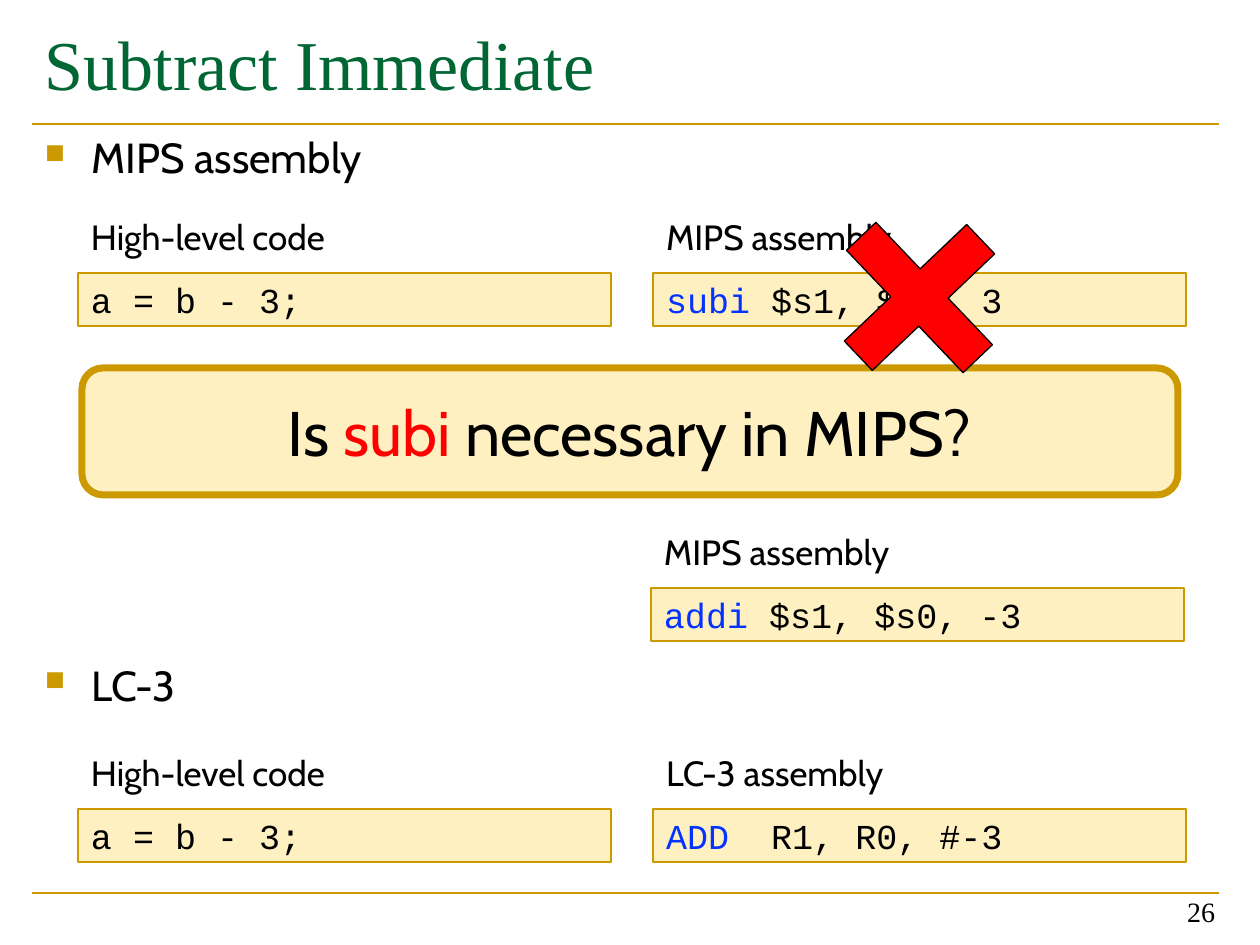
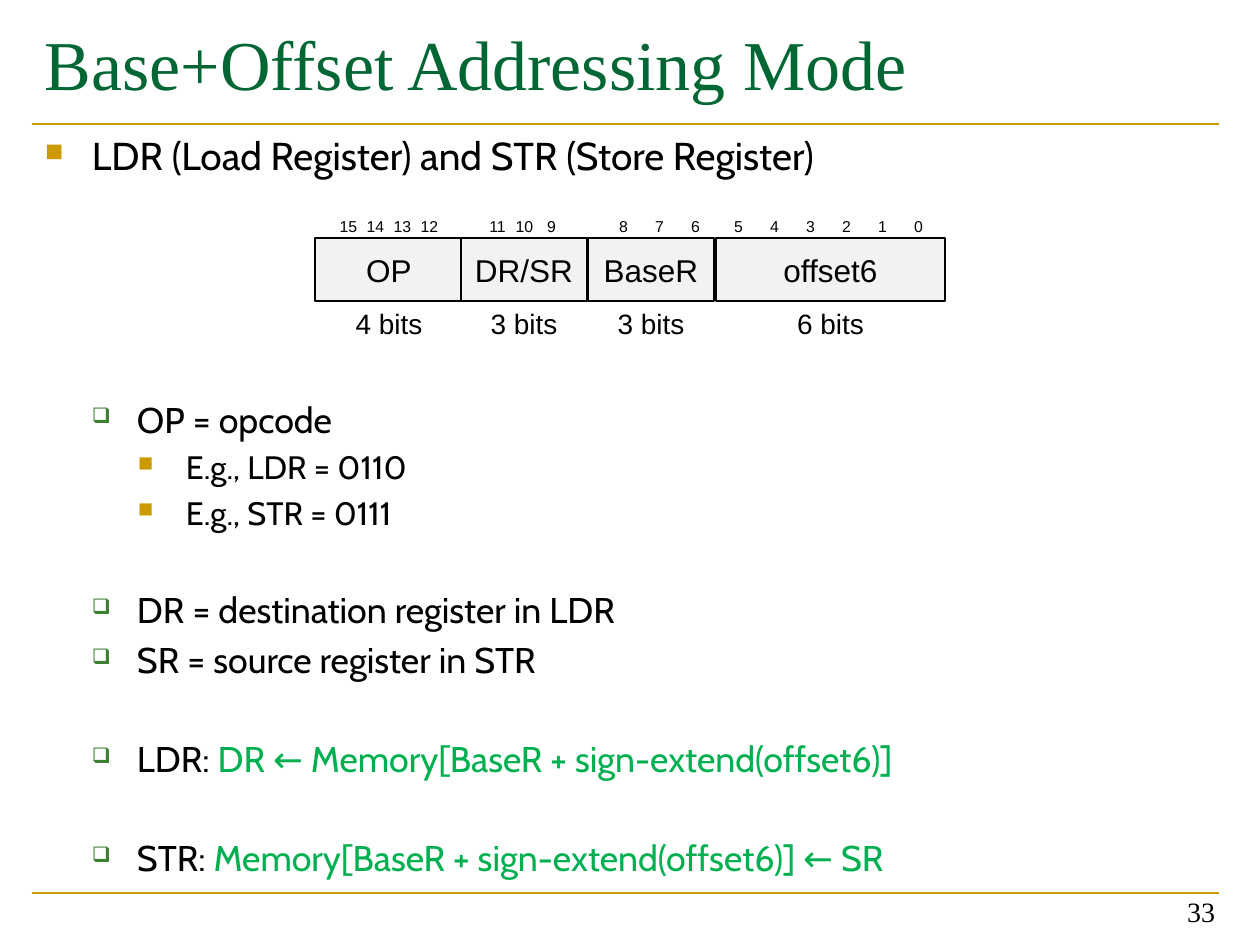
from lxml.etree import SubElement
from pptx import Presentation
from pptx.dml.color import RGBColor
from pptx.enum.shapes import MSO_CONNECTOR, MSO_SHAPE
from pptx.enum.text import MSO_ANCHOR, PP_ALIGN
from pptx.oxml.ns import qn
from pptx.util import Pt

PX = 914400 / 126
WIDE, HIGH = 1260, 945
COLORS = {
    "gold": "CC9900", "cream": "FFF0C2", "title": "006633", "leaf": "3B812F",
    "green": "00B050", "blue": "0432FF", "red": "FF0000", "grey": "F2F2F2",
    "black": "000000",
}
SERIF, SANS, MONO, PLAIN = "Times New Roman", "Cabin", "Courier New", "Arial"
BODY = (32, 126, 1187, 766)

# Level: left margin, hanging indent, mark, mark colour, mark size in percent
LEVELS = [
    (47, 47, "■", "gold", 65),
    (92, 45, "❑", "leaf", 60),
    (141, 48, "■", "gold", 65),
]


def emu(px):
    return round(px * PX)


def rgb(name):
    return RGBColor.from_string(COLORS[name])


def write(shape, text, size=20, font=SANS, color="black", align=PP_ALIGN.LEFT,
          before=0, level=None):
    """Add a paragraph; text is a string or a list of (string, colour)."""
    frame = shape.text_frame
    para = frame.paragraphs[0]
    if para.runs:
        para = frame.add_paragraph()
    para.alignment = align
    para.space_before = Pt(before)
    for words, tint in [(text, color)] if isinstance(text, str) else text:
        run = para.add_run()
        run.text = words
        run.font.name, run.font.size = font, Pt(size)
        run.font.color.rgb = rgb(tint)
    if level is not None:
        mark(para, level)


def mark(para, level):
    left, hang, char, color, scale = LEVELS[level]
    para.level = level
    props = para._p.get_or_add_pPr()
    props.set("marL", str(emu(left)))
    props.set("indent", str(-emu(hang)))
    tint = SubElement(props, qn("a:buClr"))
    SubElement(tint, qn("a:srgbClr")).set("val", COLORS[color])
    SubElement(props, qn("a:buSzPct")).set("val", str(scale * 1000))
    SubElement(props, qn("a:buChar")).set("char", char)


def setup(shape, anchor, side):
    frame = shape.text_frame
    frame.word_wrap = True
    frame.vertical_anchor = anchor
    frame.margin_left = frame.margin_right = emu(side)
    frame.margin_top = frame.margin_bottom = emu(6)
    return shape


def area(slide, box, anchor=MSO_ANCHOR.TOP, side=13):
    return setup(slide.shapes.add_textbox(*map(emu, box)), anchor, side)


def block(slide, box, fill, line, width, kind=MSO_SHAPE.RECTANGLE,
          anchor=MSO_ANCHOR.MIDDLE, side=13):
    shape = slide.shapes.add_shape(kind, *map(emu, box))
    shape.shadow.inherit = False
    shape.fill.solid()
    shape.fill.fore_color.rgb = rgb(fill)
    shape.line.color.rgb = rgb(line)
    shape.line.width = Pt(width)
    return setup(shape, anchor, side)


def rule(slide, x, y, width):
    line = slide.shapes.add_connector(
        MSO_CONNECTOR.STRAIGHT, emu(x), emu(y), emu(x + width), emu(y))
    line.line.color.rgb = rgb("gold")
    line.line.width = Pt(1.5)
    SubElement(line._element.spPr, qn("a:effectLst"))


def base(deck, title, number):
    """Slide with rules, title and page number."""
    slide = deck.slides.add_slide(deck.slide_layouts[6])
    for y in (893, 124):
        rule(slide, 32, y, 1187)
    write(area(slide, (32, 0, 1187, 126), MSO_ANCHOR.MIDDLE), title,
          size=40, font=SERIF, color="title")
    write(area(slide, (934, 871, 294, 63), MSO_ANCHOR.BOTTOM), str(number),
          size=16, font=SERIF, align=PP_ALIGN.RIGHT)
    return slide


def code(slide, x, y, label, text):
    """Label above a framed line of code."""
    frame = block(slide, (x, y + 63, 533, 53), "cream", "gold", 1,
                  anchor=MSO_ANCHOR.TOP)
    write(frame, text, font=MONO, before=3.5)
    write(area(slide, (x, y, 533, 63)), label)


def callout(slide, box):
    frame = block(slide, box, "cream", "gold", 4, MSO_SHAPE.ROUNDED_RECTANGLE)
    write(frame, [("Is ", "black"), ("subi ", "red"),
                  ("necessary in MIPS?", "black")],
          size=36, align=PP_ALIGN.CENTER)


def cross(slide, x, y, size):
    shape = block(slide, (x, y, size, size), "red", "black", 0.75,
                  MSO_SHAPE.CROSS)
    shape.adjustments[0] = 0.38
    shape.rotation = 316.4


def layout(slide, x, y):
    """Instruction format: bit numbers, named fields and field widths."""
    # Name, bits from high to low, field left and width, first bit, bit step
    fields = [
        ("OP", range(15, 11, -1), 0, 148, 9, 27),
        ("DR/SR", range(11, 8, -1), 146, 126, 158, 27),
        ("BaseR", range(8, 5, -1), 273, 126, 284, 36),
        ("offset6", range(5, -1, -1), 401, 229, 399, 36),
    ]
    look = {"font": PLAIN, "align": PP_ALIGN.CENTER}
    mid = MSO_ANCHOR.MIDDLE
    for name, bits, left, width, first, step in fields:
        write(block(slide, (x + left, y + 28, width, 63), "grey", "black",
                    0.75, side=0), name, size=18, **look)
        write(area(slide, (x + left, y + 90, width, 47), mid, 0),
              f"{len(bits)} bits", size=16, **look)
        for i, bit in enumerate(bits):
            write(area(slide, (x + first + i * step, y, 49, 32), mid, 0),
                  str(bit), size=9, **look)


def subtract(deck):
    slide = base(deck, "Subtract Immediate", 26)
    body = area(slide, BODY)
    write(body, "MIPS assembly", size=24, before=1, level=0)
    write(body, "LC-3", size=24, before=272.5, level=0)

    # Code pairs
    left, right = 78, 653
    for y in (210, 746):
        code(slide, left, y, "High-level code", "a = b - 3;")
    for x, y, label, name, rest in [
        (right, 210, "MIPS assembly", "subi", " $s1, $s0, 3"),
        (right - 2, 525, "MIPS assembly", "addi", " $s1, $s0, -3"),
        (right, 746, "LC-3 assembly", "ADD ", " R1, R0, #-3"),
    ]:
        code(slide, x, y, label, [(name, "blue"), (rest, "black")])

    callout(slide, (82, 368, 1096, 127))
    cross(slide, 835, 213, 169)


def address(deck):
    slide = base(deck, "Base+Offset Addressing Mode", 33)
    body = area(slide, BODY)
    place = "Memory[BaseR + sign-extend(offset6)]"
    sizes = (22.2, 20.4, 18.5)
    # Level, space before, text
    for level, gap, text in [
        (0, 1, "LDR (Load Register) and STR (Store Register)"),
        (1, 125, "OP = opcode"),
        (2, 4, "E.g., LDR = 0110"),
        (2, 4, "E.g., STR = 0111"),
        (1, 32, "DR = destination register in LDR"),
        (1, 4, "SR = source register in STR"),
        (1, 32, [("LDR:", "black"), (f" DR ← {place}", "green")]),
        (1, 32, [("STR:", "black"), (f" {place} ← SR", "green")]),
    ]:
        write(body, text, size=sizes[level], before=gap, level=level)
    layout(slide, 315, 210)


def main():
    deck = Presentation()
    deck.slide_width, deck.slide_height = emu(WIDE), emu(HIGH)
    subtract(deck)
    address(deck)
    deck.save("out.pptx")


if __name__ == "__main__":
    main()
